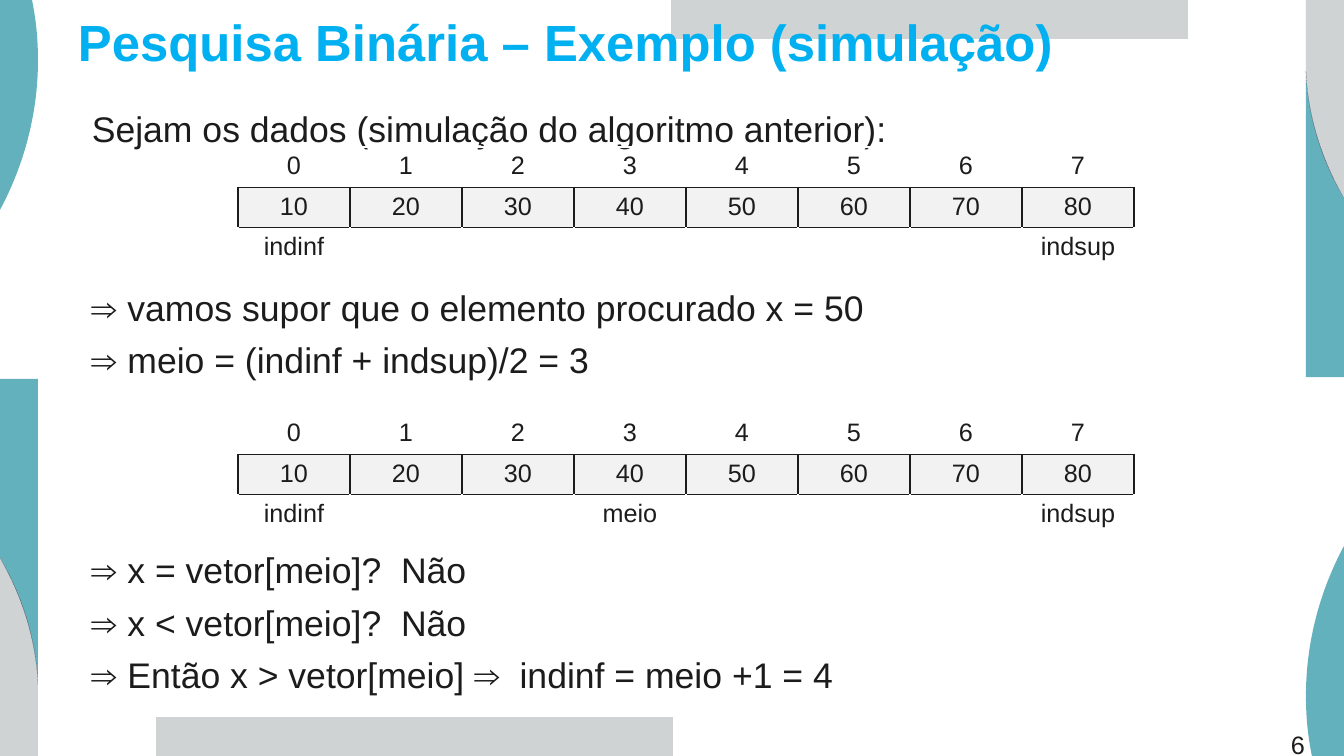
"""Build the slide that simulates a binary search on an eight-element array."""
from lxml import etree
from pptx import Presentation, util as u
from pptx.dml.color import RGBColor
from pptx.enum import text
from pptx.oxml import ns

WIDTH, HEIGHT = 1344, 756
PX = 12192000 / WIDTH
FONT = "Arial"
COLORS = {
    "teal": "63B1BC", "gray": "D0D3D4", "navy": "1F2A44", "title": "00B0F0",
    "ink": "1C1C1C", "cell": "F2F2F2", "white": "FFFFFF",
}

presentation = Presentation()
presentation.slide_width = u.Emu(round(WIDTH * PX))
presentation.slide_height = u.Emu(round(HEIGHT * PX))
slide = presentation.slides.add_slide(presentation.slide_layouts[6])


def px(*lengths):
    return [u.Emu(round(length * PX)) for length in lengths]


def add_text(box, lines, size, color, bold=False, line_spacing=0.9):
    frame = slide.shapes.add_textbox(*px(*box)).text_frame
    frame.word_wrap = True
    for index, (line, space) in enumerate(lines):
        paragraph = frame.add_paragraph() if index else frame.paragraphs[0]
        paragraph.text = line
        paragraph.line_spacing = line_spacing
        paragraph.space_before = u.Pt(space)
        paragraph.font.name = FONT
        paragraph.font.size = u.Pt(size)
        paragraph.font.bold = bold
        paragraph.font.color.rgb = RGBColor.from_string(COLORS[color])


# Each outline is a list of points; a six-number entry is a Bézier curve.
ornaments = [
    ("teal", [(32, 0), (0, 0), (0, 210), (24, 165, 38, 114, 38, 60), (38, 39, 36, 19, 32, 0)]),
    ("gray", [(671, 0), (1188, 0), (1188, 39), (671, 39)]),
    ("teal", [(1306, 71), (1306, 377), (1344, 377), (1344, 198), (1322, 161, 1308, 118, 1306, 71)]),
    ("gray", [(1344, 198), (1344, 0), (1306, 0), (1306, 71), (1308, 117, 1322, 160, 1344, 198)]),
    ("navy", [(1344, 198), (1322, 160, 1308, 117, 1306, 71), (1306, 72), (1308, 118, 1322, 161, 1344, 198)]),
]
for turned in (False, True):
    for color, outline in ornaments:
        points = [entry[i:i + 2] for entry in outline for i in range(0, len(entry), 2)]
        if turned:
            points = [(WIDTH - x, HEIGHT - y) for x, y in points]
        points = [px(*point) for point in points]
        builder = slide.shapes.build_freeform(*points[0])
        builder.add_line_segments(points[1:], close=True)
        shape = builder.convert_to_shape()
        segments = iter(list(shape._element.iter(ns.qn("a:lnTo"))))
        for entry in outline[1:]:
            segment = next(segments)
            if len(entry) == 6:
                segment.tag = ns.qn("a:cubicBezTo")
                for _ in range(2):
                    control = next(segments)
                    segment.append(control[0])
                    control.getparent().remove(control)
        shape.shadow.inherit = False
        shape.fill.solid()
        shape.fill.fore_color.rgb = RGBColor.from_string(COLORS[color])
        shape.line.fill.background()

add_text((82, 107, 1180, 617), [
    ("Sejam os dados (simulação do algoritmo anterior):", 0),
    ("⇒ vamos supor que o elemento procurado x = 50", 100),
    ("⇒ meio = (indinf + indsup)/2 = 3", 10),
    ("⇒ x = vetor[meio]?  Não", 122.7),
    ("⇒ x < vetor[meio]?  Não", 10),
    ("⇒ Então x > vetor[meio] ⇒  indinf = meio +1 = 4", 10),
], 25.4, "ink")
add_text((1281, 724, 62, 21), [("6", 0)], 18, "ink", line_spacing=1.0)
add_text((68, 13, 1086, 77), [("Pesquisa Binária – Exemplo (simulação)", 0)], 36.3, "title", bold=True)

COLUMNS, COLUMN_WIDTH, ROW_HEIGHT = 8, 112, 39
borders = [
    {"L": "white", "R": "white", "T": "white", "B": "ink"},
    dict.fromkeys("LRTB", "ink"),
    {"L": "white", "R": "white", "T": "ink", "B": "white"},
]
for top, markers in (
    (147, {0: "indinf", 7: "indsup"}),
    (414, {0: "indinf", 3: "meio", 7: "indsup"}),
):
    table = slide.shapes.add_table(
        3, COLUMNS, *px(238, top, COLUMNS * COLUMN_WIDTH, 3 * ROW_HEIGHT)).table
    table.first_row = table.horz_banding = False
    for column in range(COLUMNS):
        table.columns[column].width = px(COLUMN_WIDTH)[0]
        values = [str(column), str(10 * (column + 1)), markers.get(column, "")]
        for row, value in enumerate(values):
            table.rows[row].height = px(ROW_HEIGHT)[0]
            cell = table.cell(row, column)
            cell.text = value
            paragraph = cell.text_frame.paragraphs[0]
            paragraph.alignment = text.PP_ALIGN.CENTER
            paragraph.font.name = FONT
            paragraph.font.size = u.Pt(18)
            paragraph.font.color.rgb = RGBColor.from_string(COLORS["ink"])
            properties = cell._tc.get_or_add_tcPr()
            for side, color in borders[row].items():
                line = etree.SubElement(properties, ns.qn(f"a:ln{side}"), w=str(u.Pt(1)))
                fill = etree.SubElement(line, ns.qn("a:solidFill"))
                etree.SubElement(fill, ns.qn("a:srgbClr"), val=COLORS[color])
            if row == 1:
                cell.fill.solid()
                cell.fill.fore_color.rgb = RGBColor.from_string(COLORS["cell"])
            else:
                cell.fill.background()

presentation.save("out.pptx")
